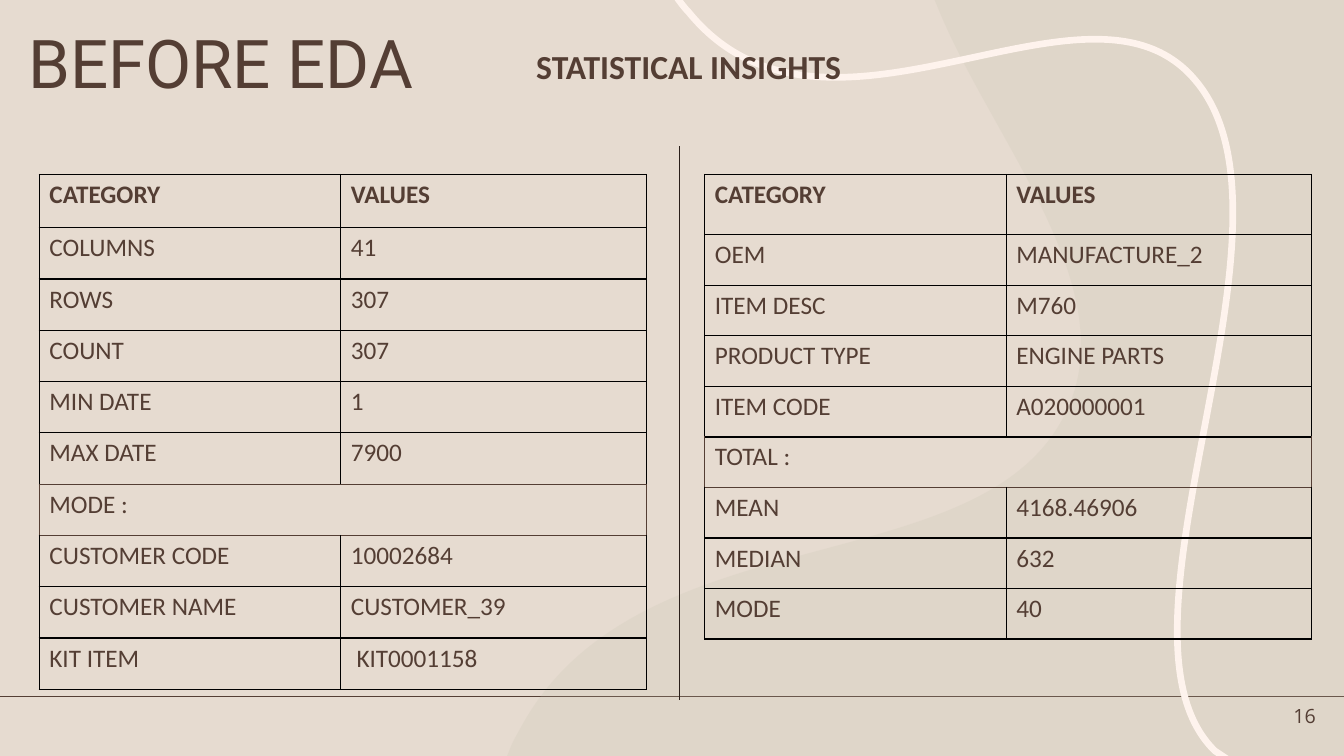
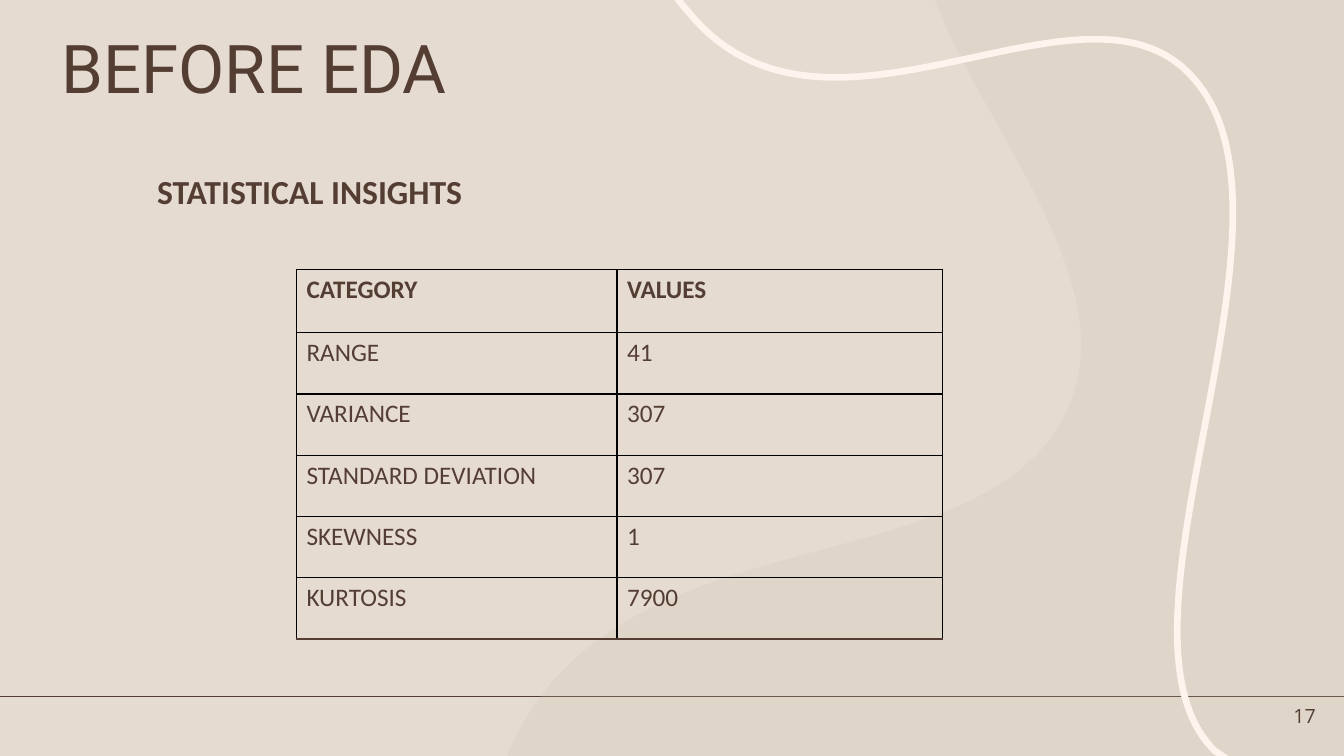
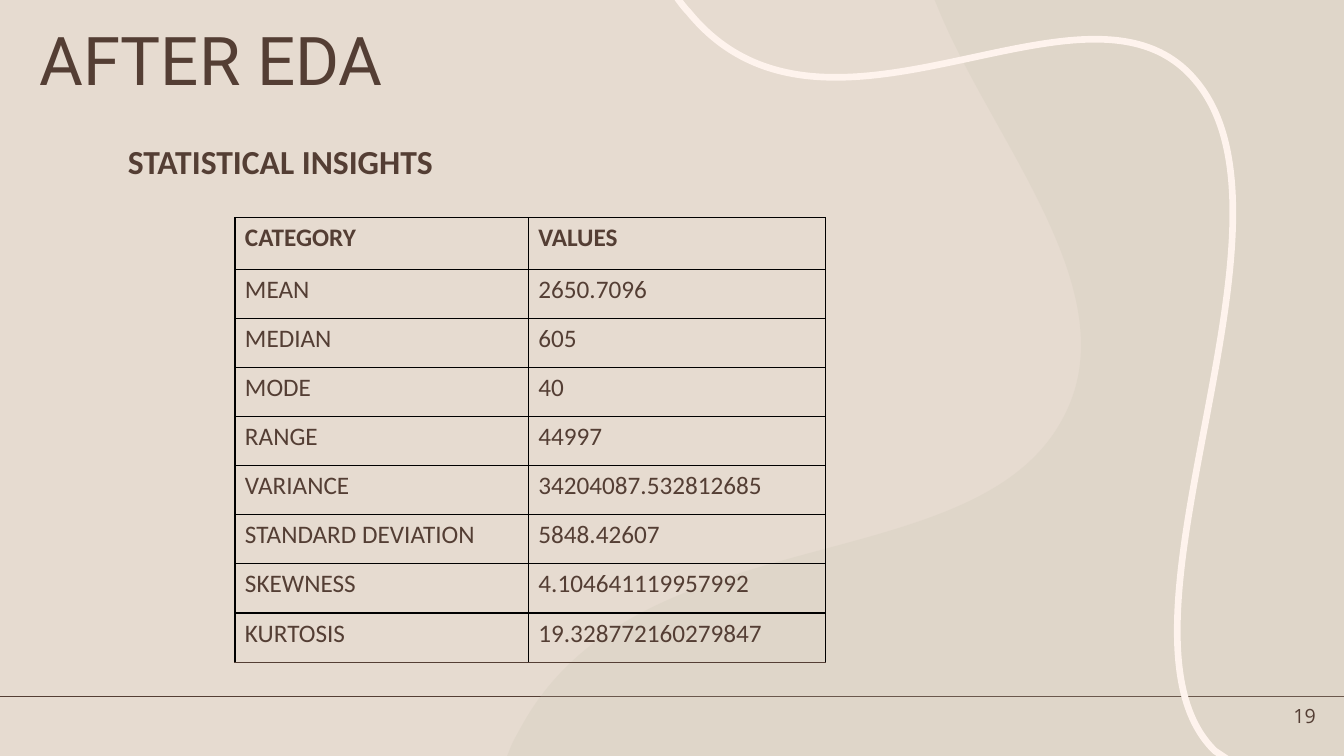
"""Build the statistical insight slides for the data before and after EDA."""
from lxml import etree
from pptx import Presentation
from pptx import util as u
from pptx.dml.color import RGBColor
from pptx.enum import shapes, text
from pptx.oxml import ns

BROWN, BLACK, DARK = "543E34", "000000", "2A1F1A"
SAND, WAVE, CREAM = "E6DBD0", "C6C4AF", "FEF3ED"
WIDTH, HEIGHT, FOOTER_Y = 13.33, 7.5, 6.91

WAVE_START = (9.27, 0)
WAVE_STEPS = [
    [(13.33, 0)], [(13.33, 7.5)], [(5.03, 7.5)], [(5.07, 7.4)],
    [(5.11, 7.31), (5.15, 7.25), (5.17, 7.21)],
    [(6.31, 5.12), (9.62, 5.78), (10.52, 4.19)],
    [(11.23, 2.96), (9.88, 1.46), (9.32, 0.12)],
]
RIBBON_START = (12.17, 7.53)
RIBBON_STEPS = [
    [(12.14, 7.51)], [(12.05, 7.45)],
    [(10.84, 6.27), (13.07, 2.2), (11.85, 0.79)],
    [(10.78, -0.47), (8.2, 1.8), (6.83, 0.12)],
    [(6.8, 0.09), (6.76, 0.04), (6.71, -0.03)],
]

COUNTS = [
    ("COLUMNS", "41"), ("ROWS", "307"), ("COUNT", "307"),
    ("MIN DATE", "1"), ("MAX DATE", "7900"), ("MODE :", None),
    ("CUSTOMER CODE", "10002684"), ("CUSTOMER NAME", "CUSTOMER_39"),
    ("KIT ITEM", " KIT0001158"),
]
ITEMS = [
    ("OEM", "MANUFACTURE_2"), ("ITEM DESC", "M760"),
    ("PRODUCT TYPE", "ENGINE PARTS"), ("ITEM CODE", "A020000001"),
    ("TOTAL :", None), ("MEAN", "4168.46906"), ("MEDIAN", "632"),
    ("MODE", "40"),
]
SPREAD_BEFORE = [
    ("RANGE", "41"), ("VARIANCE", "307"), ("STANDARD DEVIATION", "307"),
    ("SKEWNESS", "1"), ("KURTOSIS", "7900"),
]
SUMMARY_AFTER = [
    ("MEAN", "2650.7096"), ("MEDIAN", "605"), ("MODE", "40"),
    ("RANGE", "44997"), ("VARIANCE", "34204087.532812685"),
    ("STANDARD DEVIATION", "5848.42607"),
    ("SKEWNESS", "4.104641119957992"), ("KURTOSIS", "19.328772160279847"),
]


def paint(target, colour):
    """Give a fill a solid colour."""
    target.solid()
    target.fore_color.rgb = RGBColor.from_string(colour)


def write(frame, wording, size=18, font="Calibri", bold=False,
          align=text.PP_ALIGN.LEFT, spacing=1.0, anchor=text.MSO_ANCHOR.TOP):
    """Put one formatted paragraph into a text frame."""
    frame.text = wording
    frame.word_wrap = True
    frame.vertical_anchor = anchor
    line = frame.paragraphs[0]
    line.alignment = align
    line.line_spacing = spacing
    line.font.size = u.Pt(size)
    line.font.name = font
    line.font.bold = bold
    line.font.color.rgb = RGBColor.from_string(BROWN)


def label(slide, box, wording, **style):
    """Add a text box."""
    write(slide.shapes.add_textbox(*map(u.Inches, box)).text_frame,
          wording, **style)


def rule(slide, start, end, colour, weight):
    """Add a straight line without shadow."""
    line = slide.shapes.add_connector(
        shapes.MSO_CONNECTOR.STRAIGHT, *map(u.Inches, start + end))
    paint(line.line.fill, colour)
    line.line.width = u.Pt(weight)
    etree.SubElement(line.element.spPr, ns.qn("a:effectLst"))
    return line


def outline(slide, start, steps, close):
    """Add a freeform whose three-point steps are cubic curves."""
    builder = slide.shapes.build_freeform(*map(u.Inches, start))
    builder.add_line_segments(
        [tuple(map(u.Inches, step[-1])) for step in steps], close=close)
    shape = builder.convert_to_shape()
    shape.shadow.inherit = False
    segments = shape.element.spPr.findall(".//" + ns.qn("a:lnTo"))
    for segment, step in zip(segments, steps):
        if len(step) == 3:
            segment.tag = ns.qn("a:cubicBezTo")
            for place, (x, y) in enumerate(step[:2]):
                handle = etree.Element(
                    ns.qn("a:pt"), x=str(u.Inches(x) - shape.left),
                    y=str(u.Inches(y) - shape.top))
                segment.insert(place, handle)
    return shape


def decorate(layout, slide):
    """Draw the shared background and move it into the layout."""
    paint(layout.background.fill, SAND)
    base = rule(slide, (0, FOOTER_Y), (WIDTH, FOOTER_Y), BROWN, 1.25)
    wave = outline(slide, WAVE_START, WAVE_STEPS, True)
    paint(wave.fill, WAVE)
    tint = wave.element.spPr.find(".//" + ns.qn("a:srgbClr"))
    etree.SubElement(tint, ns.qn("a:alpha"), val="20000")
    wave.line.fill.background()
    ribbon = outline(slide, RIBBON_START, RIBBON_STEPS, False)
    ribbon.fill.background()
    paint(ribbon.line.fill, CREAM)
    ribbon.line.width = u.Pt(4.75)
    for number, part in enumerate((base, wave, ribbon), 20):
        part.element.xpath(".//p:cNvPr")[0].set("id", str(number))
        layout.shapes.element.append(part.element)


def border(cell, side, colour):
    """Draw one side of a cell."""
    edge = etree.SubElement(cell._tc.get_or_add_tcPr(),
                            ns.qn("a:ln" + side), w=str(u.Pt(1)))
    solid = etree.SubElement(edge, ns.qn("a:solidFill"))
    etree.SubElement(solid, ns.qn("a:srgbClr"), val=colour)


def stats_table(slide, corner, columns, height, head, rows, brown_rules=()):
    """Add a category table; a row without a value spans both columns."""
    rows = [("CATEGORY", "VALUES"), *rows]
    body = (height - head) / (len(rows) - 1)
    table = slide.shapes.add_table(
        len(rows), 2,
        *map(u.Inches, corner + (sum(columns), height))).table
    table.first_row = table.horz_banding = False
    for column, width in zip(table.columns, columns):
        column.width = u.Inches(width)
    for r, row in enumerate(rows):
        table.rows[r].height = u.Inches(body if r else head)
        section = row[1] is None
        for c, wording in enumerate(row):
            cell = table.cell(r, c)
            for side in "LR":
                border(cell, side, BROWN if section else BLACK)
            for side, position in (("T", r), ("B", r + 1)):
                border(cell, side,
                       BROWN if position in brown_rules else BLACK)
            cell.fill.background()
            if wording:
                write(cell.text_frame, wording, bold=r == 0)
        if section:
            table.cell(r, 0).merge(table.cell(r, 1))


def insight_slide(deck, layout, title, title_box, subtitle_at, number):
    """Add a slide with its title, subtitle and page number."""
    slide = deck.slides.add_slide(layout)
    heading = slide.shapes.title
    heading.left, heading.top, heading.width, heading.height = map(
        u.Inches, title_box)
    heading.text_frame.auto_size = text.MSO_AUTO_SIZE.NONE
    write(heading.text_frame, title, size=48, font="Roboto", spacing=0.9,
          anchor=text.MSO_ANCHOR.MIDDLE)
    label(slide, subtitle_at + (4.31, 0.5), "STATISTICAL INSIGHTS",
          size=24, bold=True)
    label(slide, (12.55, 6.94, 0.6, 0.32), number, size=14,
          font="Open Sans", align=text.PP_ALIGN.RIGHT,
          anchor=text.MSO_ANCHOR.MIDDLE)
    return slide


def main():
    """Build and save the deck."""
    deck = Presentation()
    deck.slide_width, deck.slide_height = u.Inches(WIDTH), u.Inches(HEIGHT)
    layout = deck.slide_layouts[5]

    counts = insight_slide(deck, layout, "BEFORE EDA",
                           (0.18, 0.25, 4.64, 0.83), (5.22, 0.41), "16")
    decorate(layout, counts)
    stats_table(counts, (0.39, 1.73), (2.99, 3.03), 5.11, 0.53, COUNTS,
                brown_rules=(6, 7))
    rule(counts, (6.74, 1.45), (6.74, 6.94), DARK, 0.5)
    stats_table(counts, (6.99, 1.73), (2.99, 3.03), 4.61, 0.6, ITEMS,
                brown_rules=(6,))

    spread = insight_slide(deck, layout, "BEFORE EDA",
                           (0.51, 0.3, 5.12, 0.83), (1.46, 1.65), "17")
    stats_table(spread, (2.94, 2.67), (3.18, 3.23), 3.67, 0.63,
                SPREAD_BEFORE, brown_rules=(6,))

    after = insight_slide(deck, layout, "AFTER EDA",
                          (0.29, 0.22, 5.12, 0.83), (1.17, 1.35), "19")
    stats_table(after, (2.33, 2.16), (2.91, 2.95), 4.41, 0.51,
                SUMMARY_AFTER, brown_rules=(9,))
    deck.save("out.pptx")


if __name__ == "__main__":
    main()
